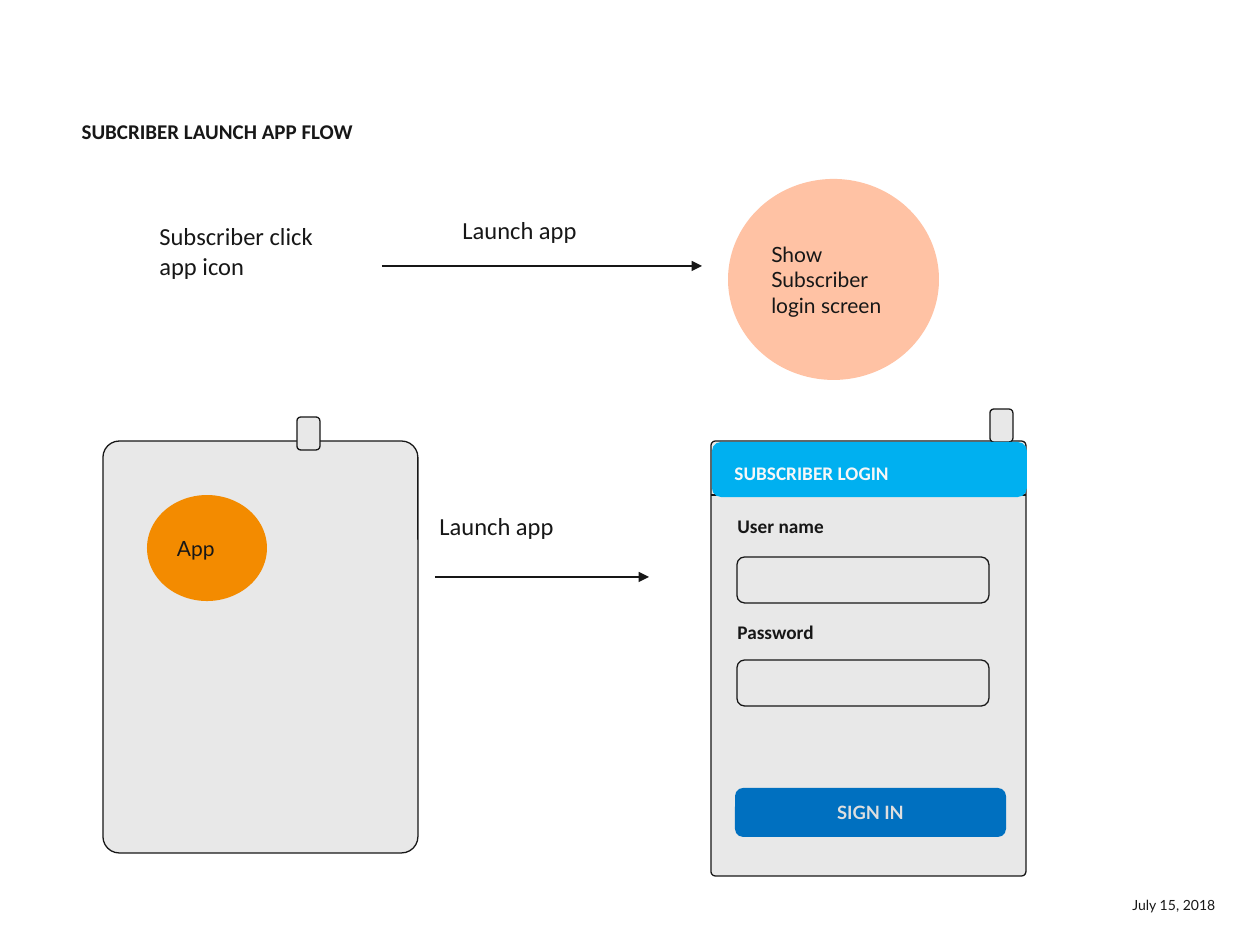
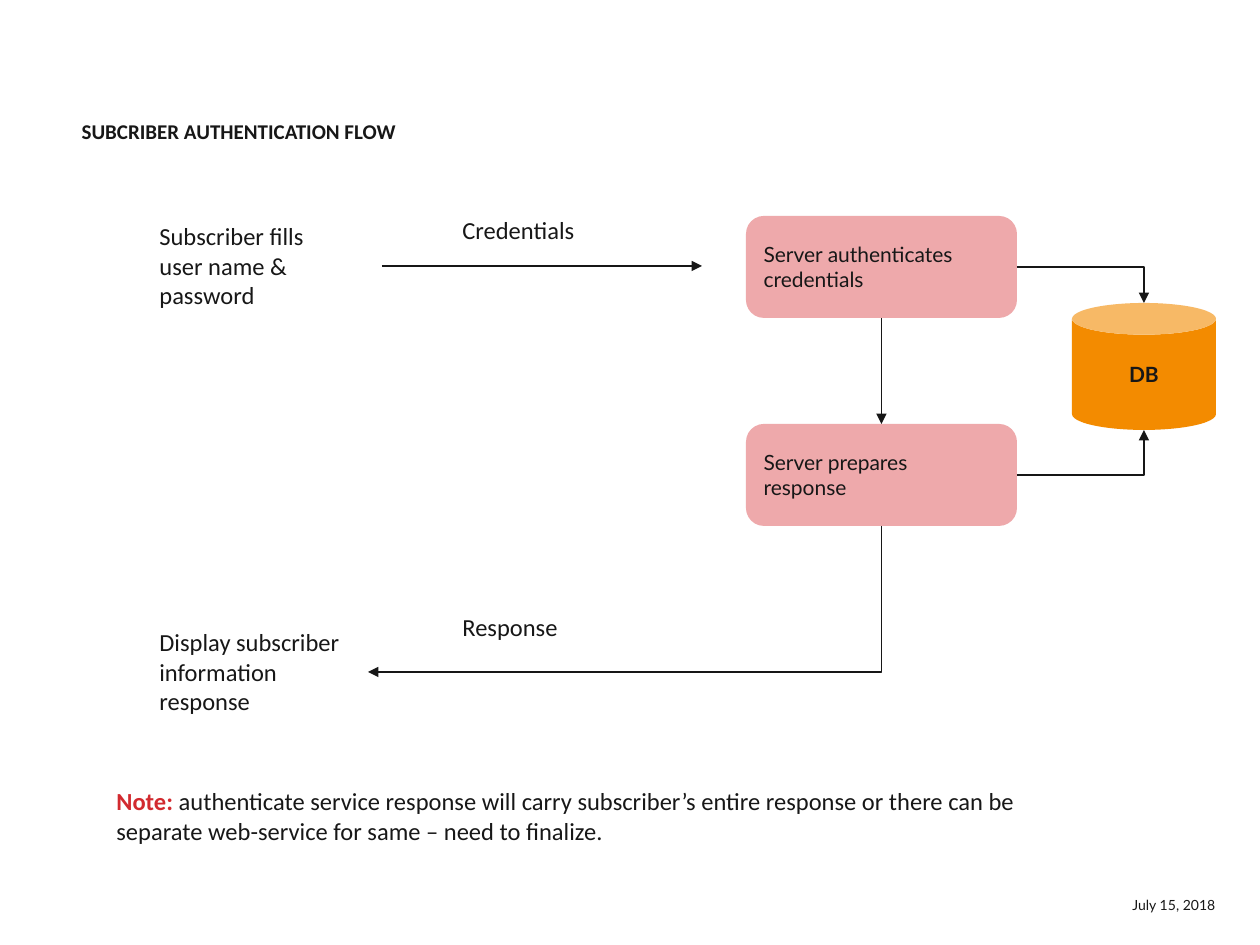
from pptx import Presentation, util as u
from pptx.dml.color import RGBColor
from pptx.enum import shapes, text
from pptx.oxml.ns import qn
from lxml import etree

SCALE = 914400 / 126
INK, GREY, ORANGE, PINK = "171717", "E8E8E8", "F38B00", "EEA9AB"
KIND = shapes.MSO_SHAPE
MID, LOW = text.MSO_ANCHOR.MIDDLE, text.MSO_ANCHOR.BOTTOM
LEFT, CENTER, RIGHT = text.PP_ALIGN.LEFT, text.PP_ALIGN.CENTER, text.PP_ALIGN.RIGHT


def px(*sides):
    """Turn pixels into EMU lengths."""
    return [u.Emu(round(side * SCALE)) for side in sides]


def tint(hue):
    """Give the colour for a hex string."""
    return RGBColor.from_string(hue)


def write(frame, lines, size, font="Calibri", bold=False, hue=INK, align=LEFT):
    """Fill a text frame with lines, each a string or a list of (words, bold, hue) runs."""
    for row, line in enumerate(lines):
        para = frame.add_paragraph() if row else frame.paragraphs[0]
        para.alignment = align
        runs = [(line, bold, hue)] if isinstance(line, str) else line
        for words, thick, shade in runs:
            run = para.add_run()
            run.text = words
            run.font.name, run.font.size = font, u.Pt(size)
            run.font.bold = thick
            run.font.color.rgb = tint(shade)


def label(slide, box, line, size=14, **style):
    """Place a wrapped text box that grows with its text."""
    frame = slide.shapes.add_textbox(*px(*box)).text_frame
    frame.word_wrap = True
    frame.auto_size = text.MSO_AUTO_SIZE.SHAPE_TO_FIT_TEXT
    write(frame, [line], size, **style)


def block(slide, kind, box, fill, lines=(), edge=False, curve=None, size=12, **style):
    """Place a filled shape with optional outline, corner size and text."""
    shape = slide.shapes.add_shape(kind, *px(*box))
    shape.shadow.inherit = False
    shape.fill.solid()
    shape.fill.fore_color.rgb = tint(fill)
    if edge:
        shape.line.color.rgb = tint(INK)
        shape.line.width = u.Pt(0.75)
    else:
        shape.line.fill.background()
    if curve is not None:
        shape.adjustments[0] = curve
    frame = shape.text_frame
    frame.word_wrap = False
    frame.vertical_anchor = MID
    write(frame, lines, size, font="Lato", **style)


def link(slide, start, end, head=True, bend=None):
    """Draw a line, straight or bent once after going "across" or "down"."""
    (left, top), (right, foot) = start, end
    if bend == "down":
        midx, midy = (left + right) / 2, (top + foot) / 2
        wide, high = abs(foot - top) / 2, abs(right - left) / 2
        left, right, top, foot = midx - wide, midx + wide, midy - high, midy + high
    kind = shapes.MSO_CONNECTOR.ELBOW if bend else shapes.MSO_CONNECTOR.STRAIGHT
    line = slide.shapes.add_connector(kind, *px(left, top, right, foot))
    line.line.color.rgb = tint(INK)
    line.line.width = u.Pt(0.75)
    props = line.element.spPr
    if bend:
        props.find(qn("a:prstGeom")).set("prst", "bentConnector2")
    if bend == "down":
        props.find(qn("a:xfrm")).set("rot", "5400000")
    if head:
        etree.SubElement(props.find(qn("a:ln")), qn("a:tailEnd"), type="triangle")
    etree.SubElement(props, qn("a:effectLst"))


def start(deck, title, step, action):
    """Add a slide with its title, date, first step and first arrow."""
    slide = deck.slides.add_slide(deck.slide_layouts[0])
    sub = slide.placeholders[1].element
    sub.getparent().remove(sub)
    head = slide.shapes.title
    head.left, head.top, head.width, head.height = px(69, 115, 869, 35)
    frame = head.text_frame
    frame.word_wrap = True
    frame.vertical_anchor = LOW
    frame.auto_size = text.MSO_AUTO_SIZE.SHAPE_TO_FIT_TEXT
    write(frame, [title], 12, bold=True)
    frame.paragraphs[0].line_spacing = 0.9
    date = slide.shapes.add_textbox(*px(1052, 892, 176, 21)).text_frame
    date.word_wrap = True
    date.vertical_anchor = LOW
    date.margin_top = date.margin_bottom = 0
    write(date, ["July 15, 2018"], 8, font="Lato", align=RIGHT)
    label(slide, (147, 215, 184, 72), step)
    label(slide, (450, 209, 184, 43), action)
    link(slide, (382, 266), (702, 266))
    return slide


def phone(slide, box, curve, tab):
    """Draw a device body with a small tab at an offset from its corner."""
    left, top = box[:2]
    block(slide, KIND.ROUNDED_RECTANGLE, box, GREY, edge=True, curve=curve)
    block(slide, KIND.ROUNDED_RECTANGLE, (left + tab[0], top + tab[1], 23, 33), GREY, edge=True)


def home(slide, box):
    """Draw the home screen with its app icon."""
    left, top = box[:2]
    phone(slide, box, 0.052, (194, -24))
    block(slide, KIND.OVAL, (left + 44, top + 54, 120, 106), ORANGE, ["App"])


def login(slide, box):
    """Draw the login screen with its banner, fields and button."""
    left, top, wide, _ = box
    phone(slide, box, 0.014, (279, -32))
    for name, drop, gap in (("User name", 67, 49), ("Password", 173, 46)):
        label(slide, (left + 14, top + drop, 296, 37), name, 11, bold=True)
        block(slide, KIND.ROUNDED_RECTANGLE, (left + 26, top + drop + gap, 252, 46), GREY, edge=True)
    block(slide, KIND.ROUNDED_RECTANGLE, (left + 24, top + 347, 271, 49), "0070C0", ["SIGN IN"],
          size=10.5, bold=True, hue="DEDEDE", align=CENTER)
    link(slide, (left, top + 54), (left + wide, top + 54), head=False)
    block(slide, KIND.ROUNDED_RECTANGLE, (left + 1, top + 1, wide, 55), "00B0F0")
    label(slide, (left + 11, top + 14, 296, 37), "SUBSCRIBER LOGIN", 11, bold=True, hue="F7F7F7")


def launch(deck):
    """Build the slide on launching the app."""
    slide = start(deck, "SUBCRIBER LAUNCH APP FLOW", "Subscriber click app icon", "Launch app")
    block(slide, KIND.OVAL, (728, 179, 211, 201), "FFC2A4", ["Show", "Subscriber", "login screen"])
    home(slide, (103, 441, 315, 412))
    login(slide, (711, 441, 315, 435))
    label(slide, (427, 505, 255, 43), "Launch app")
    link(slide, (435, 577), (649, 577))


def server(slide, box):
    """Draw the two server steps, the database and the arrows between them."""
    left, top, wide, high = box
    pitch, mid, right = 208, left + wide / 2, left + wide
    data = (1072, 303, 144, 127)
    hub = data[0] + data[2] / 2
    steps = (["Server authenticates", "credentials"], ["Server prepares", "response"])
    for row, lines in enumerate(steps):
        level = top + row * pitch
        block(slide, KIND.ROUNDED_RECTANGLE, (left, level, wide, high), PINK, lines, curve=0.176)
        link(slide, (right, level + high / 2), (hub, data[1] + row * data[3]), bend="across")
    block(slide, KIND.CAN, data, ORANGE, ["DB"], bold=True, align=CENTER)
    link(slide, (mid, top + high), (mid, top + pitch))
    link(slide, (mid, top + pitch + high), (368, 672), bend="down")


def access(deck):
    """Build the slide on authentication."""
    slide = start(deck, "SUBCRIBER AUTHENTICATION FLOW",
                  "Subscriber fills user name & password", "Credentials")
    server(slide, (746, 216, 271, 102))
    label(slide, (147, 621, 221, 102), "Display subscriber information response")
    label(slide, (450, 606, 184, 43), "Response")
    note = (" authenticate service response will carry subscriber’s entire response "
            "or there can be separate web-service for same – need to finalize.")
    label(slide, (104, 780, 948, 72), [("Note:", True, "D22A2F"), (note, False, INK)])


deck = Presentation()
deck.slide_width, deck.slide_height = px(1260, 945)
launch(deck)
access(deck)
deck.save("out.pptx")
